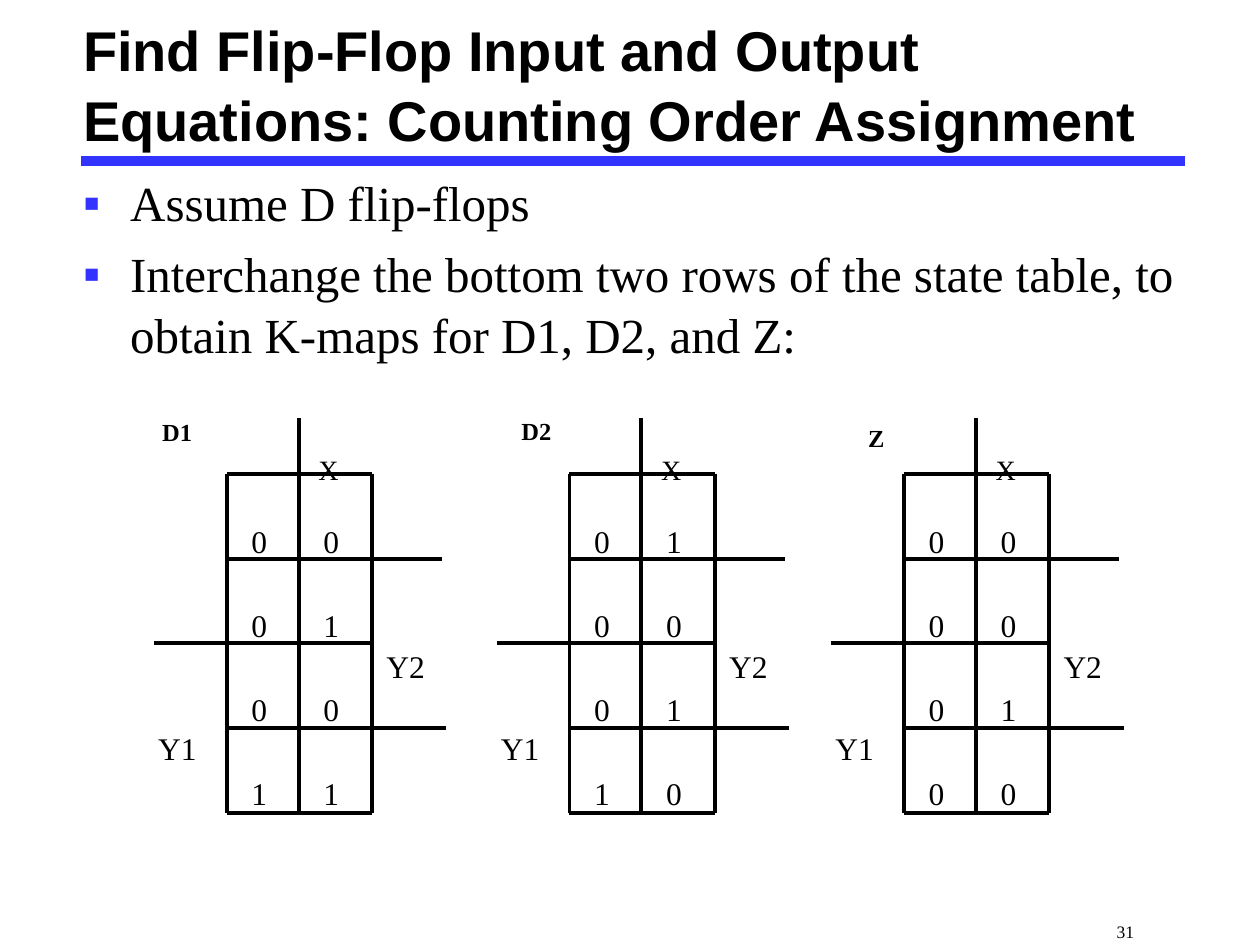
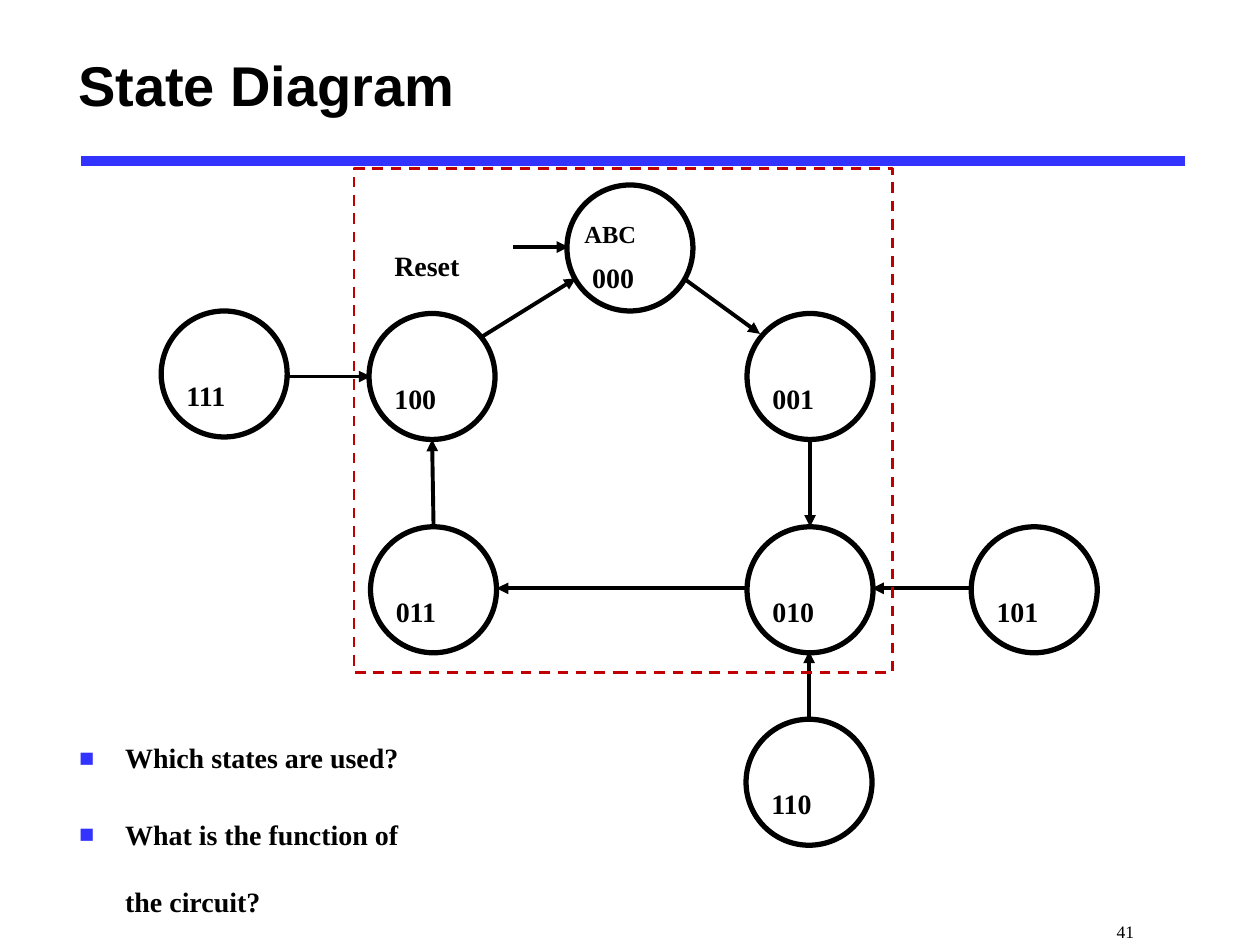
import pptx
import pptx.dml.color
import pptx.enum.dml
import pptx.enum.shapes
import pptx.enum.text
import pptx.oxml.ns
import lxml.etree
from pptx.util import Cm, Pt

BLACK, BLUE, RED = "000000", "3333FF", "C00000"
TITLE_FONT, TEXT_FONT = "Arial", "Times New Roman"
ANCHOR = pptx.enum.text.MSO_ANCHOR
ALIGN = pptx.enum.text.PP_ALIGN
SHAPE = pptx.enum.shapes.MSO_SHAPE
color = pptx.dml.color.RGBColor.from_string
qn = pptx.oxml.ns.qn


def add_text(page, text, left, top, width, height, size, bold=False):
    """Add a label that sits on the bottom edge of its box."""
    box = page.shapes.add_textbox(Cm(left), Cm(top), Cm(width), Cm(height))
    frame = box.text_frame
    frame.word_wrap = True
    frame.vertical_anchor = ANCHOR.BOTTOM
    frame.margin_top = frame.margin_bottom = 0
    frame.text = text
    font = frame.paragraphs[0].runs[0].font
    font.name, font.size, font.bold = TEXT_FONT, Pt(size), bold
    font.color.rgb = color(BLACK)
    return box


def add_line(page, start_x, start_y, end_x, end_y, line_color=BLACK, width=2.25, arrow=False):
    line = page.shapes.add_connector(
        pptx.enum.shapes.MSO_CONNECTOR.STRAIGHT,
        Cm(start_x), Cm(start_y), Cm(end_x), Cm(end_y))
    line.line.color.rgb = color(line_color)
    line.line.width = Pt(width)
    properties = line._element.spPr
    if arrow:
        lxml.etree.SubElement(properties.find(qn("a:ln")), qn("a:tailEnd"), type="triangle")
    lxml.etree.SubElement(properties, qn("a:effectLst"))


deck = pptx.Presentation()
deck.slide_width, deck.slide_height = Cm(25.4), Cm(19.05)

# Titles, lists, bands and page numbers of both slides
slides = [
    dict(title="Find Flip-Flop Input and Output Equations: Counting Order Assignment",
         title_left=1.42, title_width=22.99, number="31",
         items=["Assume D flip-flops",
                "Interchange the bottom two rows of the state table, to "
                "obtain K-maps for D1, D2, and Z:"],
         place=(1.42, 3.45, 23.27, 4.7), size=28, bold=False,
         spacing=1.03, gap=6, bullet_size="100000"),
    dict(title="State Diagram",
         title_left=1.32, title_width=22.63, number="41",
         items=["Which states are used?", "What is the function of\vthe circuit?"],
         place=(1.32, 14.25, 10, 4.5), size=16, bold=True,
         spacing=Pt(38.3), gap=5.7, bullet_size="175000"),
]
for content in slides:
    page = deck.slides.add_slide(deck.slide_layouts[1])
    add_line(page, 1.63, 3.25, 23.88, 3.25, BLUE, 6)

    title = page.shapes.title
    title.left, title.top = Cm(content["title_left"]), Cm(0.25)
    title.width, title.height = Cm(content["title_width"]), Cm(2.84)
    frame = title.text_frame
    frame.auto_size = pptx.enum.text.MSO_AUTO_SIZE.NONE
    frame.vertical_anchor = ANCHOR.MIDDLE
    frame.text = content["title"]
    para = frame.paragraphs[0]
    para.alignment = ALIGN.LEFT
    para.line_spacing = 1.04
    font = para.runs[0].font
    font.name, font.size, font.bold = TITLE_FONT, Pt(32), True
    font.color.rgb = color(BLACK)

    body = page.placeholders[1]
    body.left, body.top, body.width, body.height = map(Cm, content["place"])
    frame = body.text_frame
    frame.auto_size = pptx.enum.text.MSO_AUTO_SIZE.NONE
    frame.margin_top = frame.margin_bottom = 0
    for index, item in enumerate(content["items"]):
        para = frame.paragraphs[0] if index == 0 else frame.add_paragraph()
        para.text = item
        properties = para._p.get_or_add_pPr()
        properties.set("marL", str(Cm(0.95)))
        properties.set("indent", str(-Cm(0.95)))
        bullet_color = lxml.etree.SubElement(properties, qn("a:buClr"))
        lxml.etree.SubElement(bullet_color, qn("a:srgbClr"), val=BLUE)
        lxml.etree.SubElement(properties, qn("a:buSzPct"), val=content["bullet_size"])
        lxml.etree.SubElement(properties, qn("a:buFont"), typeface=TITLE_FONT)
        lxml.etree.SubElement(properties, qn("a:buChar"), char="▪")
        para.line_spacing = content["spacing"]
        para.space_before = Pt(content["gap"] if index else 0)
        for span in para.runs:
            span.font.name, span.font.size = TEXT_FONT, Pt(content["size"])
            span.font.bold = content["bold"]
            span.font.color.rgb = color(BLACK)

    number = add_text(page, content["number"], 20.07, 18.05, 5.33, 0.95, 10)
    number.text_frame.margin_right = Cm(2.54)
    number.text_frame.paragraphs[0].alignment = ALIGN.RIGHT

map_page, state_page = deck.slides

# Three K-maps: name, name position, left edge, rows of cells
grid_top, row_height, middle, right = 9.55, 1.71, 1.45, 2.93
grid_bottom = grid_top + 4 * row_height
maps = [
    ("D1", 3.02, 7.72, 4.57, ["00", "01", "00", "11"]),
    ("D2", 10.26, 7.7, 11.48, ["01", "00", "01", "10"]),
    ("Z", 17.25, 7.85, 18.22, ["00", "00", "01", "00"]),
]
row_lines = [(0, right), (0, 4.34), (-1.47, right), (0, 4.43), (0, right)]
column_lines = [(0, grid_top), (middle, 8.43), (right, grid_top)]
for name, name_left, name_top, left, rows in maps:
    for index, (start, end) in enumerate(row_lines):
        height = grid_top + index * row_height
        add_line(map_page, left + start, height, left + end, height)
    for offset, top in column_lines:
        add_line(map_page, left + offset, top, left + offset, grid_bottom)
    add_text(map_page, name, name_left, name_top, 1.55, 1.27, 14, True)
    add_text(map_page, "X", left + 1.6, 8.35, 1.22, 1.45, 16)
    add_text(map_page, "Y2", left + 2.97, 12.2, 1.7, 1.6, 18)
    add_text(map_page, "Y1", left - 1.63, 13.86, 1.7, 1.6, 18)
    for index, row in enumerate(rows):
        for value, offset in zip(row, (0.25, 1.7)):
            add_text(map_page, value, left + offset, 9.69 + index * 1.69, 1.02, 1.6, 18)

# States: left and top of each circle
states = {
    "000": (11.43, 3.73), "001": (15.06, 6.32), "010": (15.06, 10.62),
    "011": (7.47, 10.62), "100": (7.44, 6.32), "101": (19.58, 10.62),
    "110": (15.04, 14.5), "111": (3.25, 6.27),
}
for code, (left, top) in states.items():
    circle = state_page.shapes.add_shape(SHAPE.OVAL, Cm(left), Cm(top), Cm(2.54), Cm(2.54))
    circle.shadow.inherit = False
    circle.fill.background()
    circle.line.color.rgb = color(BLACK)
    circle.line.width = Pt(3)
    label_drop = 0.75 if code == "000" else 0.59
    add_text(state_page, code, left + 0.26, top + label_drop, 2.64, 1.45, 16, True)

# Transitions and reset
transitions = [
    (13.82, 5.64, 15.32, 6.73),    # 000 to 001
    (16.33, 8.81, 16.33, 10.62),   # 001 to 010
    (15.09, 11.86, 10.01, 11.86),  # 010 to 011
    (8.74, 10.62, 8.71, 8.86),     # 011 to 100
    (9.68, 6.81, 11.61, 5.61),     # 100 to 000
    (5.82, 7.59, 7.47, 7.59),      # 111 to 100
    (19.58, 11.86, 17.58, 11.86),  # 101 to 010
    (16.31, 14.5, 16.31, 13.13),   # 110 to 010
    (10.34, 4.98, 11.46, 4.98),    # reset to 000
]
for ends in transitions:
    add_line(state_page, *ends, arrow=True)
add_text(state_page, "Reset", 7.7, 4.23, 3.43, 1.45, 16, True)
add_text(state_page, "ABC", 11.53, 3.74, 2.31, 1.27, 14, True)

# Frame around the used states
used = state_page.shapes.add_shape(SHAPE.RECTANGLE, Cm(7.14), Cm(3.4), Cm(10.85), Cm(10.16))
used.shadow.inherit = False
used.fill.background()
used.line.color.rgb = color(RED)
used.line.width = Pt(1.5)
used.line.dash_style = pptx.enum.dml.MSO_LINE.DASH

deck.save("out.pptx")
